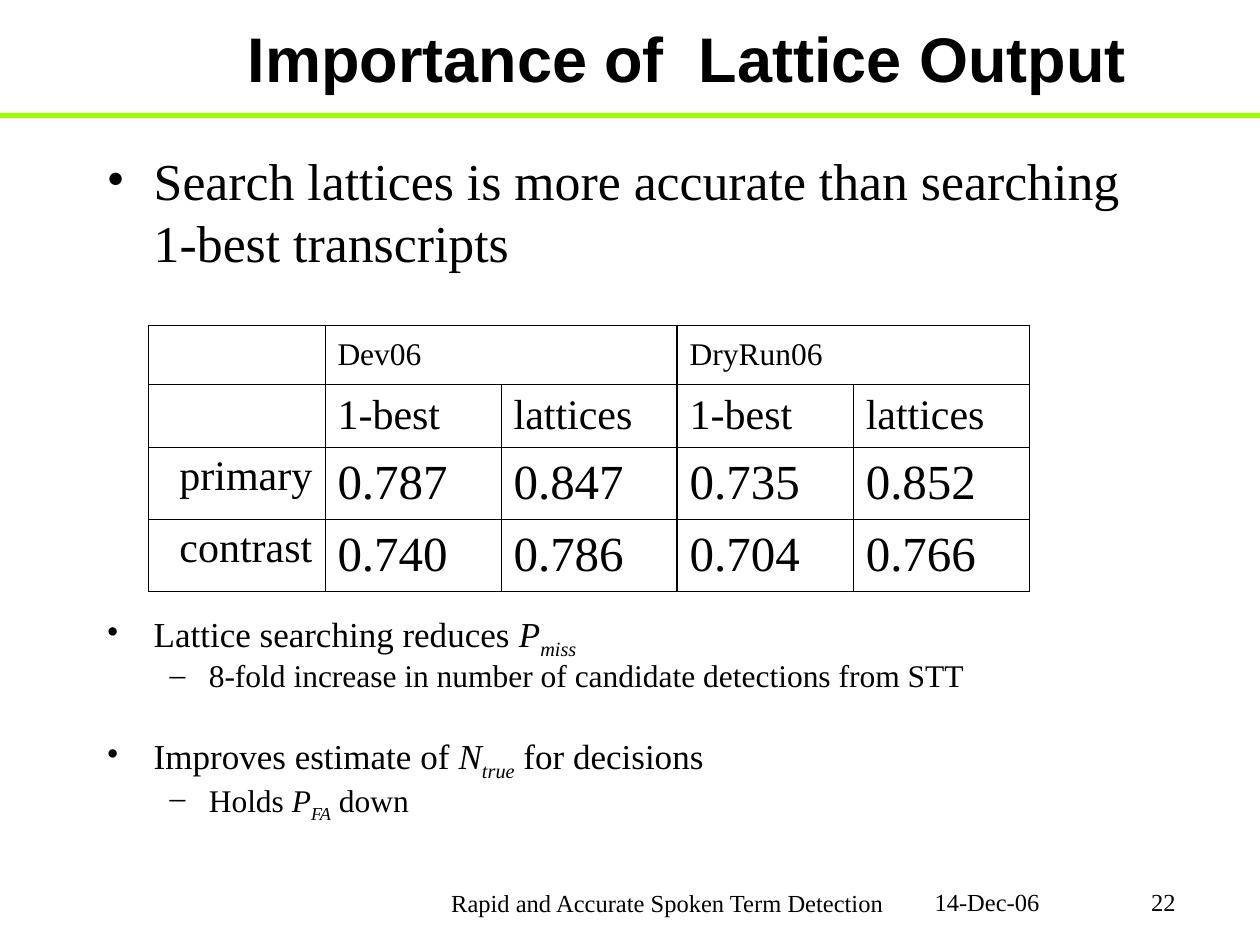
import dataclasses

import lxml.etree
import pptx
import pptx.dml.color
import pptx.enum.shapes
import pptx.enum.text
import pptx.oxml.ns
import pptx.util

Cm = pptx.util.Cm
Pt = pptx.util.Pt
qn = pptx.oxml.ns.qn
ALIGN = pptx.enum.text.PP_ALIGN
ANCHOR = pptx.enum.text.MSO_ANCHOR


@dataclasses.dataclass(frozen=True)
class Theme:
    ink: pptx.dml.color.RGBColor = pptx.dml.color.RGBColor(0, 0, 0)
    rule: pptx.dml.color.RGBColor = pptx.dml.color.RGBColor(0x9B, 0xFF, 0)
    heading_font: str = "Arial"
    body_font: str = "Times New Roman"
    title: float = 36
    lead: float = 29.6
    value: float = 28
    label: float = 24
    point: float = 20
    detail: float = 18
    footer: float = 14
    thin: float = 0.45
    thick: float = 1.47


theme = Theme()


def add_text_box(left, top, width, height):
    text_frame = slide.shapes.add_textbox(Cm(left), Cm(top), Cm(width), Cm(height)).text_frame
    text_frame.word_wrap = True
    return text_frame


def write(paragraph, pieces, size, bullet=None, margin=0, hang=0):
    """Fill a paragraph with (text, style) pieces; style is "", "italic" or "sub"."""
    if bullet:
        properties = paragraph._p.get_or_add_pPr()
        properties.set("marL", str(Cm(margin)))
        properties.set("indent", str(-Cm(hang)))
        lxml.etree.SubElement(properties, qn("a:buFont")).set("typeface", theme.body_font)
        lxml.etree.SubElement(properties, qn("a:buChar")).set("char", bullet)
    paragraph.font.size = Pt(size)
    paragraph.font.name = theme.body_font
    paragraph.font.color.rgb = theme.ink
    for text, style in pieces:
        run = paragraph.add_run()
        run.text = text
        if style:
            run.font.italic = True
        if style == "sub":
            run.font._element.set("baseline", "-25000")


presentation = pptx.Presentation()
presentation.slide_width = Cm(25.4)
presentation.slide_height = Cm(19.05)
slide = presentation.slides.add_slide(presentation.slide_layouts[5])

# Title and rule
rule = slide.shapes.add_connector(
    pptx.enum.shapes.MSO_CONNECTOR.STRAIGHT, 0, Cm(2.33), Cm(25.4), Cm(2.33))
rule.line.color.rgb = theme.rule
rule.line.width = Pt(3)
lxml.etree.SubElement(rule._element.spPr, qn("a:effectLst"))

title = slide.shapes.title
title.left, title.top, title.width, title.height = Cm(2.74), 0, Cm(22.22), Cm(2.33)
title.text_frame.text = "Importance of  Lattice Output"
title.text_frame.vertical_anchor = ANCHOR.MIDDLE
paragraph = title.text_frame.paragraphs[0]
paragraph.alignment = ALIGN.CENTER
paragraph.font.size = Pt(theme.title)
paragraph.font.name = theme.heading_font
paragraph.font.bold = True
paragraph.font.color.rgb = theme.ink

# Lead statement
lead = add_text_box(1.9, 2.87, 21.6, 2.9)
write(lead.paragraphs[0],
      [("Search lattices is more accurate than searching 1-best transcripts", "")],
      theme.lead, "•", 0.95, 0.95)

# Findings: pieces, level, space before
findings = add_text_box(1.9, 12.32, 21.6, 4.55)
points = [
    ([("Lattice searching reduces ", ""), ("P", "italic"), ("miss", "sub")], 0, 0),
    ([("8-fold increase in number of candidate detections from STT", "")], 1, 4.5),
    ([("Improves estimate of ", ""), ("N", "italic"), ("true", "sub"),
      (" for decisions", "")], 0, 26),
    ([("Holds ", ""), ("P", "italic"), ("FA", "sub"), (" down", "")], 1, 4.5),
]
levels = [(theme.point, "•", 0.95, 0.95), (theme.detail, "–", 2.06, 0.79)]
for index, (pieces, level, space_before) in enumerate(points):
    paragraph = findings.add_paragraph() if index else findings.paragraphs[0]
    paragraph.level = level
    paragraph.line_spacing = 0.8
    paragraph.space_before = Pt(space_before)
    write(paragraph, pieces, *levels[level])

# Results table
rows = [
    ["", "Dev06", "", "DryRun06", ""],
    ["", "1-best", "lattices", "1-best", "lattices"],
    ["primary", "0.787", "0.847", "0.735", "0.852"],
    ["contrast", "0.740", "0.786", "0.704", "0.766"],
]
row_heights = [1.19, 1.27, 1.45, 1.45]
row_sizes = [theme.detail, theme.label, theme.value, theme.value]
column_width = 3.55
table = slide.shapes.add_table(
    len(rows), 5, Cm(3), Cm(6.55), Cm(5 * column_width), Cm(sum(row_heights))).table
table.first_row = table.horz_banding = False
for column in table.columns:
    column.width = Cm(column_width)
for row_index, row in enumerate(rows):
    table.rows[row_index].height = Cm(row_heights[row_index])
    for column_index, text in enumerate(row):
        cell = table.cell(row_index, column_index)
        row_label = column_index == 0 and row_index > 1
        cell.vertical_anchor = ANCHOR.TOP if row_label else ANCHOR.MIDDLE
        cell.fill.background()
        paragraph = cell.text_frame.paragraphs[0]
        paragraph.alignment = ALIGN.RIGHT if row_label else ALIGN.LEFT
        write(paragraph, [(text, "")] if text else [],
              theme.label if row_label else row_sizes[row_index])
        # The two data sets are parted by a thicker line
        thick_side = {2: "lnR", 3: "lnL"}.get(column_index)
        for position, side in enumerate(("lnL", "lnR", "lnT", "lnB")):
            border = lxml.etree.Element(qn(f"a:{side}"))
            border.set("w", str(Pt(theme.thick if side == thick_side else theme.thin)))
            fill = lxml.etree.SubElement(border, qn("a:solidFill"))
            lxml.etree.SubElement(fill, qn("a:srgbClr")).set("val", str(theme.ink))
            cell._tc.tcPr.insert(position, border)
for first in (1, 3):
    table.cell(0, first).merge(table.cell(0, first + 1))

# Footer
for text, left, top, width, alignment in [
    ("Rapid and Accurate Spoken Term Detection", 8.69, 17.78, 9.53, ALIGN.CENTER),
    ("22", 22.68, 17.75, 1.27, ALIGN.RIGHT),
    ("14-Dec-06", 18.59, 17.75, 3.2, ALIGN.LEFT),
]:
    paragraph = add_text_box(left, top, width, 1.27).paragraphs[0]
    paragraph.alignment = alignment
    write(paragraph, [(text, "")], theme.footer)

presentation.save("out.pptx")
